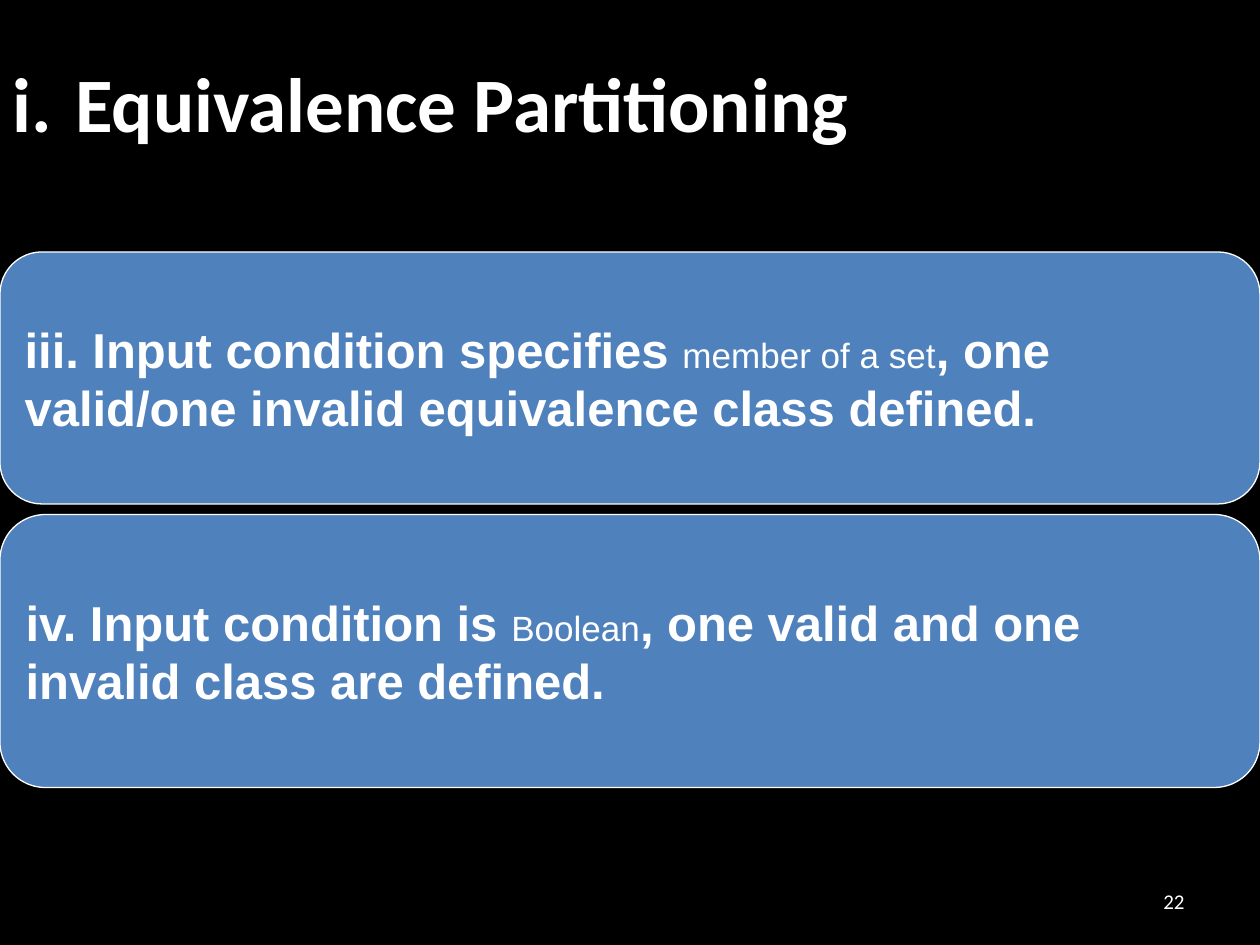
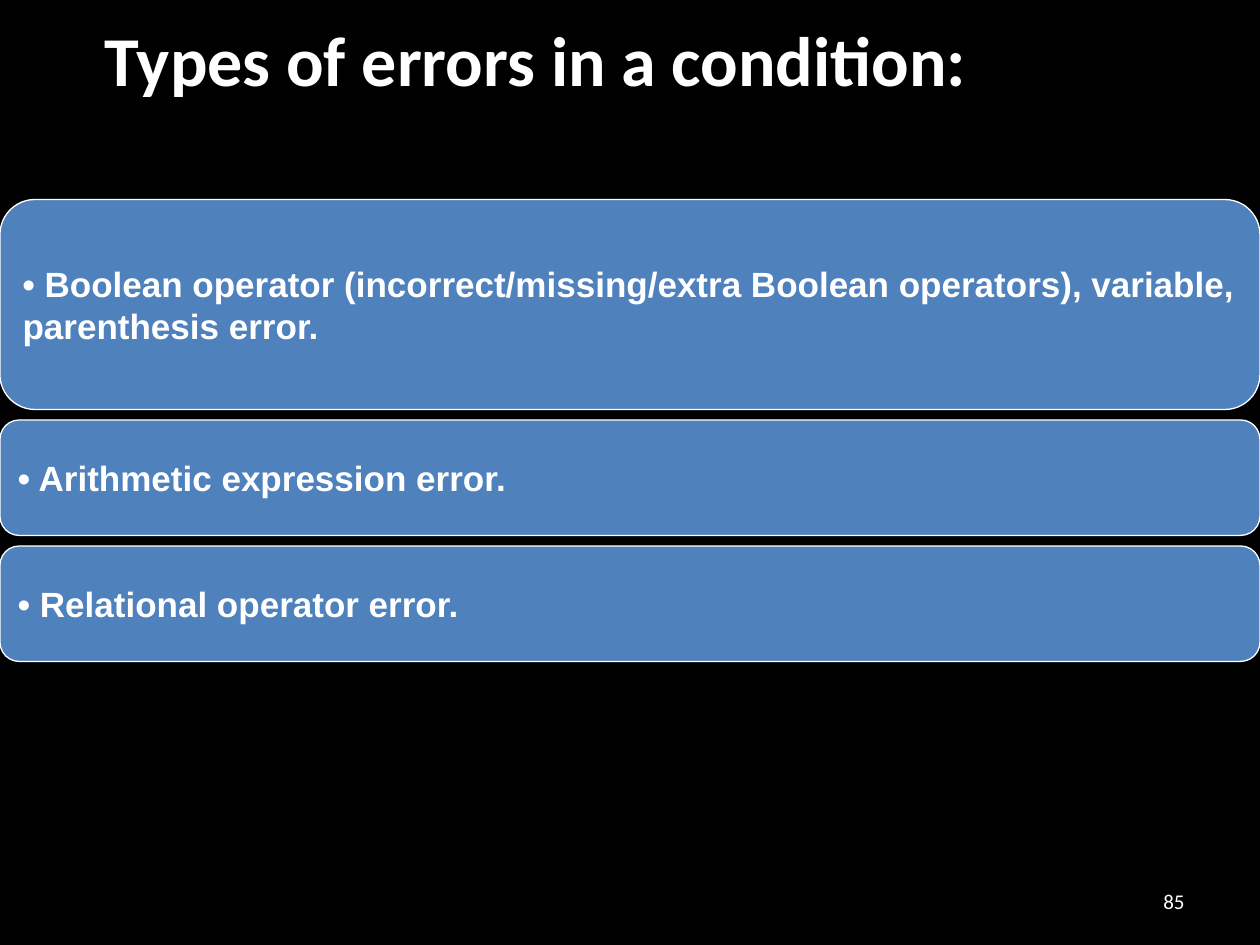
import pptx
import pptx.dml.color
import pptx.enum.shapes
import pptx.enum.text
import pptx.util

COLORS = {"background": "000000", "bar": "4F81BD", "text": "FFFFFF"}
WIDTH = pptx.util.Inches(10)
HEIGHT = pptx.util.Inches(7.5)
ROW = HEIGHT // 90  # the slide is 90 rows high
BAR_GAP = 1  # rows
TITLE_BOX = (0, 0, int(WIDTH * 0.85), pptx.util.Inches(1.61))
NUMBER_BOX = tuple(pptx.util.Inches(length) for length in (7.17, 6.95, 2.33, 0.4))
ALIGN = pptx.enum.text.PP_ALIGN


def color(name):
    return pptx.dml.color.RGBColor.from_string(COLORS[name])


def write(shape, pieces, font_name, align=ALIGN.LEFT):
    """Fill the shape with one paragraph of (text, size, bold) pieces."""
    frame = shape.text_frame
    frame.word_wrap = True
    frame.vertical_anchor = pptx.enum.text.MSO_ANCHOR.MIDDLE
    paragraph = frame.paragraphs[0]
    paragraph.alignment = align
    for text, size, bold in pieces:
        run = paragraph.add_run()
        run.text = text
        run.font.name = font_name
        run.font.size = pptx.util.Pt(size)
        run.font.bold = bold
        run.font.color.rgb = color("text")


def add_title(slide, box, text, size, align, lift):
    """Place the title; lift is the extra bottom margin in inches that raises it."""
    title = slide.shapes.add_textbox(*box)
    write(title, [(text, size, True)], "Calibri", align)
    title.text_frame.margin_bottom = pptx.util.Inches(0.05 + lift)


def add_slide_number(slide, box, number):
    write(slide.shapes.add_textbox(*box), [(str(number), 12, False)], "Calibri", ALIGN.RIGHT)


def add_bar_stack(slide, left, top, width, bars):
    """Stack rounded bars, given as (rows, pieces), downwards from the top."""
    for rows, pieces in bars:
        bar = slide.shapes.add_shape(
            pptx.enum.shapes.MSO_SHAPE.ROUNDED_RECTANGLE, left, top, width, rows * ROW)
        bar.shadow.inherit = False
        bar.fill.solid()
        bar.fill.fore_color.rgb = color("bar")
        bar.line.color.rgb = color("text")
        bar.line.width = pptx.util.Pt(0.75)
        write(bar, pieces, "Arial")
        top += (rows + BAR_GAP) * ROW


def add_bar_slide(presentation, title, size, align, lift, number, first_row, bars):
    slide = presentation.slides.add_slide(presentation.slide_layouts[6])
    slide.background.fill.solid()
    slide.background.fill.fore_color.rgb = color("background")
    add_title(slide, TITLE_BOX, title, size, align, lift)
    add_slide_number(slide, NUMBER_BOX, number)
    add_bar_stack(slide, 0, first_row * ROW, WIDTH, bars)


def rule(before, term, after):
    """A bold sentence around a smaller plain term."""
    return [(before, 28, True), (term, 20, False), (after, 28, True)]


def main():
    presentation = pptx.Presentation()
    presentation.slide_width = WIDTH
    presentation.slide_height = HEIGHT

    add_bar_slide(presentation, "i.\tEquivalence Partitioning", 44, ALIGN.LEFT, 0, 22, 24, [
        (24, rule("iii. Input condition specifies ", "member of a set",
                  ", one valid/one invalid equivalence class defined.")),
        (26, rule("iv. Input condition is ", "Boolean",
                  ", one valid and one invalid class are defined.")),
    ])

    errors = [
        (20, "• Boolean operator (incorrect/missing/extra Boolean operators), "
             "variable, parenthesis error."),
        (11, "• Arithmetic expression error."),
        (11, "• Relational operator error."),
    ]
    add_bar_slide(presentation, "Types of errors in a condition:", 40, ALIGN.CENTER, 0.68, 85, 19,
                  [(rows, [(text, 20, True)]) for rows, text in errors])

    presentation.save("out.pptx")


if __name__ == "__main__":
    main()
